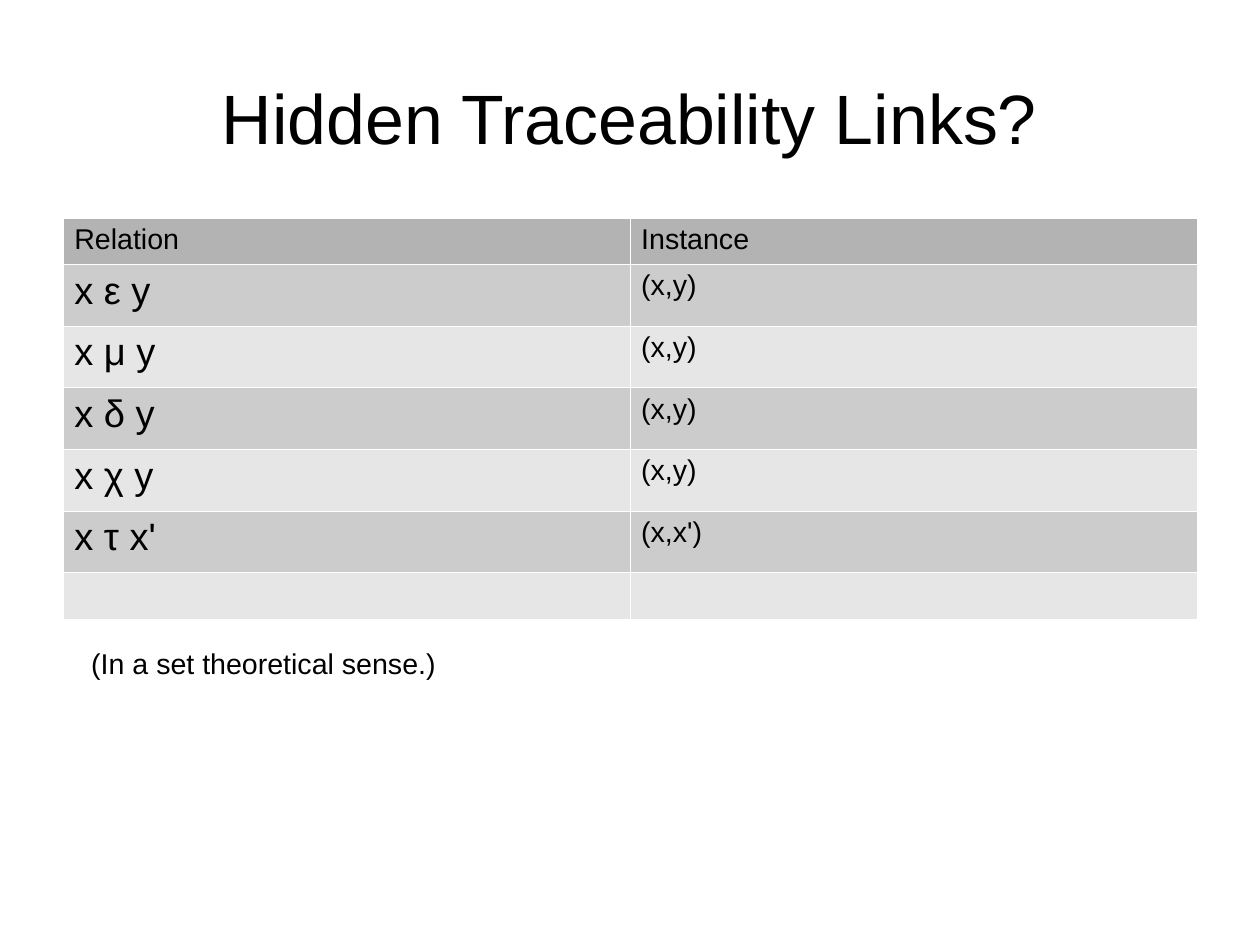
from lxml.etree import SubElement
from pptx import Presentation
from pptx.dml.color import RGBColor
from pptx.enum.text import MSO_ANCHOR, PP_ALIGN
from pptx.oxml.ns import qn
from pptx.util import Cm, Inches, Pt

COLORS = {"text": "000000", "header": "B3B3B3", "odd": "CCCCCC",
          "even": "E6E6E6", "border": "FFFFFF"}
LEFT, WIDTH = 0.55, 9.92
HEADER_HEIGHT, ROW_HEIGHT, LAST_HEIGHT = 0.4, 0.54, 0.38
ROWS = [("Relation", "Instance"), ("x ε y", "(x,y)"), ("x μ y", "(x,y)"),
        ("x δ y", "(x,y)"), ("x χ y", "(x,y)"), ("x τ x'", "(x,x')"), ("", "")]


def write_text(frame, text, size=18, align=PP_ALIGN.LEFT):
    paragraph = frame.paragraphs[0]
    paragraph.alignment = align
    run = paragraph.add_run()
    run.text = text
    run.font.name = "Arial"
    run.font.size = Pt(size)
    run.font.color.rgb = RGBColor.from_string(COLORS["text"])


def add_borders(cell):
    properties = cell._tc.get_or_add_tcPr()
    for side in ("a:lnL", "a:lnR", "a:lnT", "a:lnB"):
        line = SubElement(properties, qn(side), w=str(Pt(0.06)))
        fill = SubElement(line, qn("a:solidFill"))
        SubElement(fill, qn("a:srgbClr"), val=COLORS["border"])


presentation = Presentation()
presentation.slide_width = Cm(28)
presentation.slide_height = Cm(21)
slide = presentation.slides.add_slide(presentation.slide_layouts[5])

title = slide.shapes.title
title.left, title.top = Inches(LEFT), Inches(0.33)
title.width, title.height = Inches(WIDTH), Inches(1.38)
title_frame = title.text_frame
title_frame.margin_left = title_frame.margin_right = 0
title_frame.margin_top = title_frame.margin_bottom = 0
title_frame.vertical_anchor = MSO_ANCHOR.MIDDLE
write_text(title_frame, "Hidden Traceability Links?", size=44, align=PP_ALIGN.CENTER)

heights = [HEADER_HEIGHT] + [ROW_HEIGHT] * (len(ROWS) - 2) + [LAST_HEIGHT]
table = slide.shapes.add_table(len(ROWS), 2, Inches(LEFT), Inches(1.91),
                               Inches(WIDTH), Inches(sum(heights))).table
table.first_row = table.horz_banding = False
for row_index, (texts, height) in enumerate(zip(ROWS, heights)):
    table.rows[row_index].height = Inches(height)
    band = "header" if row_index == 0 else "odd" if row_index % 2 else "even"
    for column_index, text in enumerate(texts):
        cell = table.cell(row_index, column_index)
        add_borders(cell)
        cell.fill.solid()
        cell.fill.fore_color.rgb = RGBColor.from_string(COLORS[band])
        if text:
            is_relation = row_index > 0 and column_index == 0
            write_text(cell.text_frame, text, size=24 if is_relation else 18)

note = slide.shapes.add_textbox(Inches(0.7), Inches(5.6), Inches(5.1), Inches(0.38))
note.text_frame.word_wrap = True
write_text(note.text_frame, "(In a set theoretical sense.)")

presentation.save("out.pptx")
